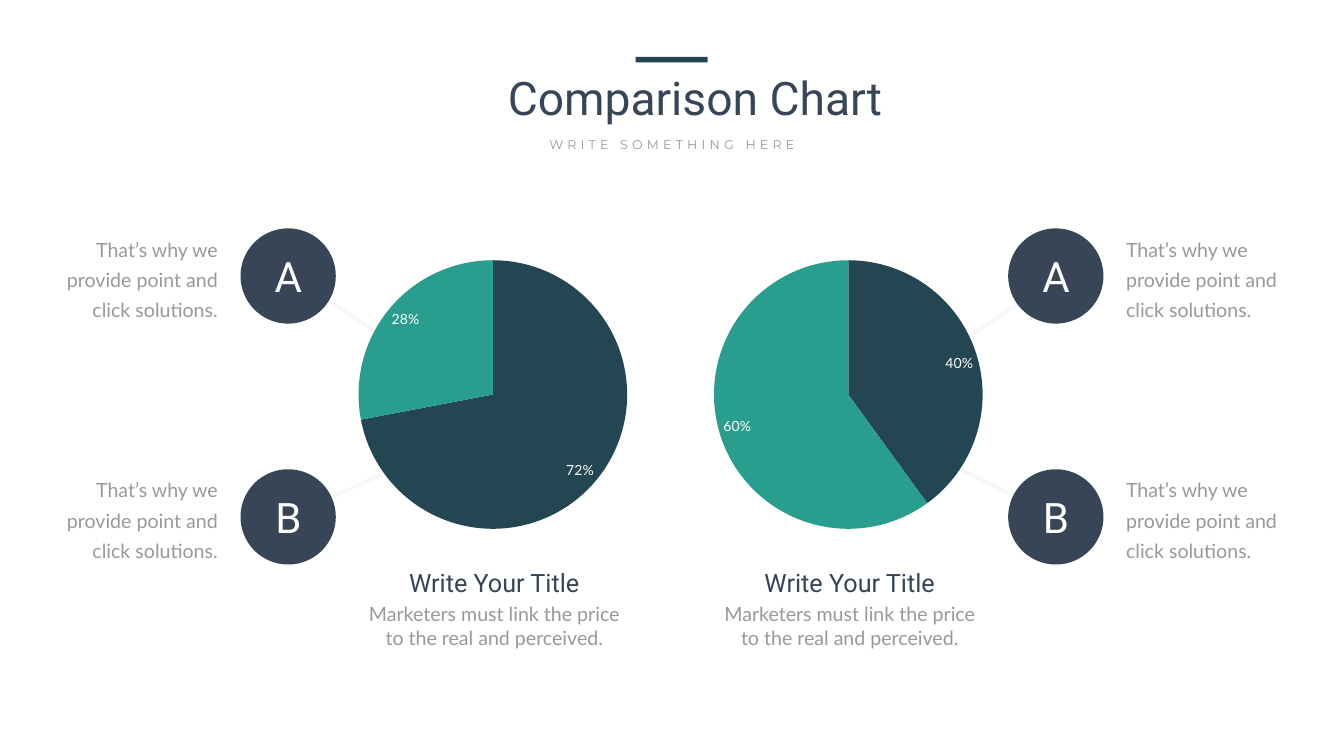
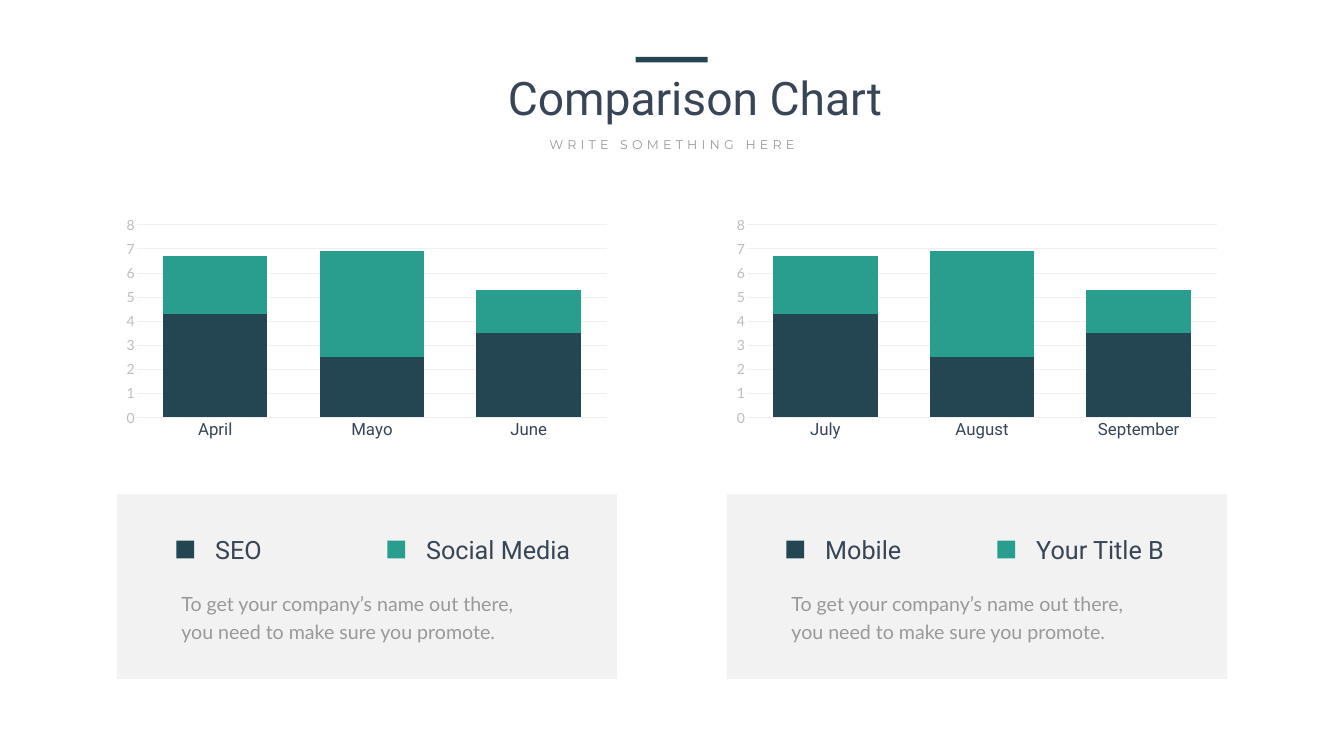
from dataclasses import dataclass

from lxml import etree
from pptx import Presentation
from pptx.chart import data
from pptx.dml.color import RGBColor
from pptx.enum import chart as kinds, shapes, text
from pptx.oxml import ns
from pptx.util import Cm, Pt


@dataclass(frozen=True)
class Theme:
    paper: RGBColor = RGBColor.from_string("FEFFFE")
    white: RGBColor = RGBColor.from_string("FFFFFF")
    ink: RGBColor = RGBColor.from_string("374556")
    grey: RGBColor = RGBColor.from_string("999999")
    scale: RGBColor = RGBColor.from_string("BDBDBD")
    grid: RGBColor = RGBColor.from_string("F0F0F0")
    leader: RGBColor = RGBColor.from_string("D9D9D9")
    panel: RGBColor = RGBColor.from_string("808080")
    dark: RGBColor = RGBColor.from_string("244653")
    teal: RGBColor = RGBColor.from_string("299D8E")
    head: str = "Roboto"
    body: str = "Lato"
    kicker: str = "Montserrat"
    title_size: int = 66
    letter_size: int = 60
    heading_size: int = 36
    body_size: int = 28
    month_size: int = 24
    label_size: int = 20
    kicker_size: int = 18


theme = Theme()
LEFT, CENTER, RIGHT = text.PP_ALIGN.LEFT, text.PP_ALIGN.CENTER, text.PP_ALIGN.RIGHT
RECT, OVAL = shapes.MSO_SHAPE.RECTANGLE, shapes.MSO_SHAPE.OVAL


def write(parent, box, words, size, font, color, align=LEFT, leading=None):
    holder = parent.add_textbox(*map(Cm, box))
    frame = holder.text_frame
    frame.word_wrap = True
    frame.auto_size = text.MSO_AUTO_SIZE.SHAPE_TO_FIT_TEXT
    paragraph = frame.paragraphs[0]
    paragraph.alignment = align
    if leading:
        paragraph.line_spacing = Pt(leading)
    run = paragraph.add_run()
    run.text = words
    run.font.size = Pt(size)
    run.font.name = font
    run.font.color.rgb = color
    return run


def paint(parent, kind, box, color):
    block = parent.add_shape(kind, *map(Cm, box))
    block.shadow.inherit = False
    block.fill.solid()
    block.fill.fore_color.rgb = color
    block.line.fill.background()
    return block


deck = Presentation()
deck.slide_width, deck.slide_height = Cm(67.72), Cm(38.1)
pies = deck.slides.add_slide(deck.slide_layouts[6])
columns = deck.slides.add_slide(deck.slide_layouts[6])
plots = []
sheer = []

for slide in (pies, columns):
    slide.background.fill.solid()
    slide.background.fill.fore_color.rgb = theme.paper
    header = slide.shapes.add_group_shape().shapes
    write(header, (19.66, 3.35, 30.73, 3.07), "Comparison Chart",
          theme.title_size, theme.head, theme.ink, CENTER)
    kicker = write(header, (26.29, 6.76, 15.14, 1.02), "WRITE SOMETHING HERE",
                   theme.kicker_size, theme.kicker, theme.grey, CENTER)
    kicker.font._element.set("spc", "600")
    paint(header, RECT, (32.03, 2.87, 3.63, 0.28), theme.dark)

sides = [
    (17.78, 12.12, 14.66, 25.32, 2.79, RIGHT, (72, 28)),
    (35.69, 50.8, 53.39, 42.75, 56.49, LEFT, (40, 60)),
]
for pie_x, circle_x, outer_x, tip_x, note_x, note_align, shares in sides:
    path = pies.shapes.build_freeform(Cm(outer_x), Cm(13.89))
    path.add_line_segments([(Cm(tip_x), Cm(21.01)), (Cm(outer_x), Cm(26.04))], close=False)
    leader = path.convert_to_shape()
    leader.shadow.inherit = False
    leader.fill.background()
    leader.line.color.rgb = theme.leader
    leader.line.width = Pt(5)
    sheer.append((leader, 20))

    for letter, circle_y in (("A", 11.51), ("B", 23.65)):
        paint(pies.shapes, OVAL, (circle_x, circle_y, 4.8, 4.8), theme.ink)
        write(pies.shapes, (circle_x + 0.25, circle_y + 1, 4.32, 2.82), letter,
              theme.letter_size, theme.head, theme.white, CENTER)
        write(pies.shapes, (note_x, circle_y, 8.43, 4.67),
              "That’s why we provide point and click solutions.",
              theme.body_size, theme.body, theme.grey, note_align, 43)

    split = data.CategoryChartData()
    split.categories = ["1", "2"]
    split.add_series("Series 1", shares)
    pie = pies.shapes.add_chart(kinds.XL_CHART_TYPE.PIE, Cm(pie_x), Cm(11.99),
                                Cm(14.25), Cm(15.95), split).chart
    pie.font.name = "Calibri"
    pie.font.size = Pt(10)
    pie.font.color.rgb = theme.grey
    ring = pie.plots[0]
    ring.vary_by_categories = True
    for index, color in enumerate((theme.dark, theme.teal)):
        wedge = ring.series[0].points[index].format
        wedge.fill.solid()
        wedge.fill.fore_color.rgb = color
        wedge.line.fill.background()
    percent = ring.series[0].data_labels
    percent.show_percentage = True
    percent.show_value = False
    percent.number_format = "0%"
    percent.number_format_is_linked = False
    percent.position = kinds.XL_LABEL_POSITION.INSIDE_END
    percent.font.name = theme.body
    percent.font.size = Pt(theme.label_size)
    percent.font.color.rgb = theme.white
    plots.append((pie, (0.02, 0.07, 0.95, 0.85)))

    caption = pies.shapes.add_group_shape().shapes
    write(caption, (pie_x + 0.38, 30.23, 13.49, 2.64),
          "Marketers must link the price to the real and perceived.",
          theme.body_size, theme.body, theme.grey, CENTER)
    write(caption, (pie_x + 1.09, 28.45, 12.07, 1.8), "Write Your Title",
          theme.heading_size, theme.head, theme.ink, CENTER)

quarters = [
    (5.89, ("April", "Mayo", "June"), ("SEO", "Social Media")),
    (36.63, ("July", "August", "September"), ("Mobile", "Your Title B")),
]
for x, months, channels in quarters:
    card = columns.shapes.add_group_shape().shapes
    sheer.append((paint(card, RECT, (x, 24.92, 25.2, 9.3), theme.panel), 10))
    write(card, (x + 3, 29.44, 17.83, 3.02),
          "To get your company’s name out there, you need to make sure you promote.",
          theme.body_size, theme.body, theme.grey, LEFT, 40.8)
    for index, (channel, color) in enumerate(zip(channels, (theme.dark, theme.teal))):
        key_x = x + 3 + index * 10.63
        write(card, (key_x + 1.7, 26.8, 8.23, 1.8), channel,
              theme.heading_size, theme.head, theme.ink)
        paint(card, RECT, (key_x, 27.25, 0.89, 0.89), color)

    results = data.CategoryChartData()
    results.categories = months
    results.add_series("Series 1", (4.3, 2.5, 3.5))
    results.add_series("Series 2", (2.4, 4.4, 1.8))
    stack = columns.shapes.add_chart(kinds.XL_CHART_TYPE.COLUMN_STACKED, Cm(x), Cm(10.62),
                                     Cm(25.2), Cm(11.71), results).chart
    stack.font.name = theme.body
    stack.font.size = Pt(theme.label_size)
    stack.font.color.rgb = theme.grey
    bars = stack.plots[0]
    bars.vary_by_categories = False
    bars.gap_width = 50
    bars.overlap = 100
    for series, color in zip(bars.series, (theme.dark, theme.teal)):
        series.format.fill.solid()
        series.format.fill.fore_color.rgb = color
    axes = [
        (stack.category_axis, theme.head, theme.month_size, theme.ink),
        (stack.value_axis, theme.body, theme.label_size, theme.scale),
    ]
    for axis, font, size, color in axes:
        axis.major_tick_mark = axis.minor_tick_mark = kinds.XL_TICK_MARK.NONE
        axis.tick_labels.font.name = font
        axis.tick_labels.font.size = Pt(size)
        axis.tick_labels.font.color.rgb = color
    stack.value_axis.minimum_scale = 0
    stack.value_axis.maximum_scale = 8
    stack.value_axis.major_unit = 1
    stack.value_axis.format.line.fill.background()
    stack.value_axis.has_major_gridlines = True
    for rule in (stack.category_axis.format.line, stack.value_axis.major_gridlines.format.line):
        rule.color.rgb = theme.grid
        rule.width = Pt(0.75)
    plots.append((stack, (0.04, 0.06, 0.94, 0.83)))

for chart, fractions in plots:
    chart.has_title = False
    chart.has_legend = False
    area = chart._chartSpace.find(".//" + ns.qn("c:plotArea"))
    for automatic in area.findall(ns.qn("c:layout")):
        area.remove(automatic)
    layout = etree.Element(ns.qn("c:layout"))
    area.insert(0, layout)
    manual = etree.SubElement(layout, ns.qn("c:manualLayout"))
    settings = [("layoutTarget", "inner"), ("xMode", "edge"), ("yMode", "edge"),
                *zip("xywh", fractions)]
    for tag, value in settings:
        etree.SubElement(manual, ns.qn("c:" + tag)).set("val", str(value))

for shape, opacity in sheer:
    tint = shape._element.spPr.find(".//" + ns.qn("a:srgbClr"))
    etree.SubElement(tint, ns.qn("a:alpha")).set("val", str(opacity * 1000))

deck.save("out.pptx")
